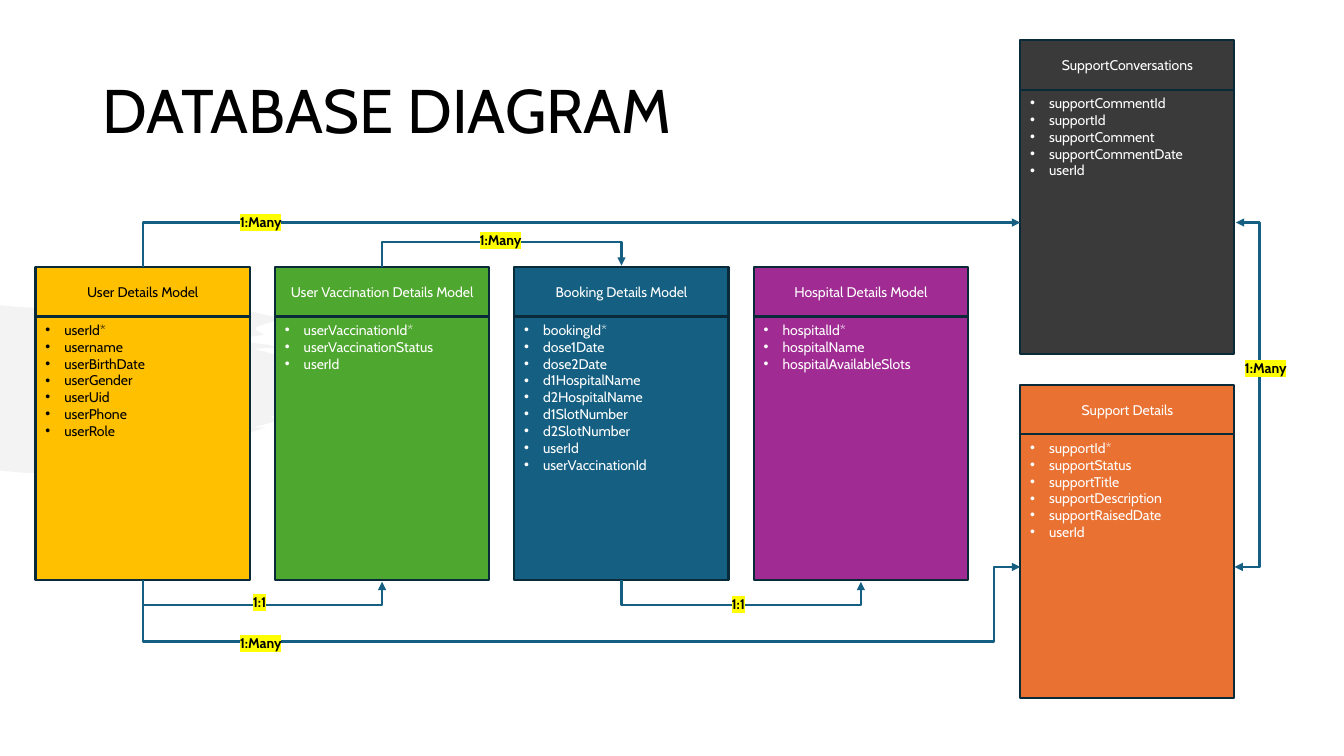
from math import cos, radians, sin

from lxml.etree import SubElement
from pptx import Presentation
from pptx.dml.color import RGBColor
from pptx.enum.shapes import MSO_CONNECTOR, MSO_SHAPE
from pptx.enum.text import MSO_ANCHOR as Anchor, MSO_AUTO_SIZE as AutoSize, PP_ALIGN as Align
from pptx.oxml.ns import qn
from pptx.util import Pt

BLACK = RGBColor(0x00, 0x00, 0x00)
WHITE = RGBColor(0xFF, 0xFF, 0xFF)
GOLD = RGBColor(0xFF, 0xC0, 0x00)
GREEN = RGBColor(0x4E, 0xA7, 0x2E)
BLUE = RGBColor(0x15, 0x60, 0x82)
PURPLE = RGBColor(0xA0, 0x2B, 0x93)
CHARCOAL = RGBColor(0x3A, 0x3A, 0x3A)
ORANGE = RGBColor(0xE9, 0x71, 0x32)
NAVY = RGBColor(0x09, 0x2A, 0x39)
YELLOW = RGBColor(0xFF, 0xFF, 0x00)
PALE_GRAY = RGBColor(0xE8, 0xE8, 0xE8)

CARD_WIDTH, HEADER_HEIGHT, FIELDS_HEIGHT = 153, 35.3, 188.5
MODEL_LEFT, MODEL_TOP, MODEL_STEP = 25.4, 190.8, 171
SUPPORT_LEFT = 728.8

MODELS = [
    ("User Details Model", GOLD, BLACK,
     ["userId*", "username", "userBirthDate", "userGender", "userUid", "userPhone", "userRole"]),
    ("User Vaccination Details Model", GREEN, WHITE,
     ["userVaccinationId*", "userVaccinationStatus", "userId"]),
    ("Booking Details Model", BLUE, WHITE,
     ["bookingId*", "dose1Date", "dose2Date", "d1HospitalName", "d2HospitalName",
      "d1SlotNumber", "d2SlotNumber", "userId", "userVaccinationId"]),
    ("Hospital Details Model", PURPLE, WHITE,
     ["hospitalId*", "hospitalName", "hospitalAvailableSlots"]),
]
SUPPORT_TABLES = [
    (28.8, "SupportConversations", CHARCOAL,
     ["supportCommentId", "supportId", "supportComment", "supportCommentDate", "userId"]),
    (275, "Support Details", ORANGE,
     ["supportId*", "supportStatus", "supportTitle", "supportDescription",
      "supportRaisedDate", "userId"]),
]
LABELS = [
    ("1:1", 173.5, 420.5), ("1:1", 515.5, 422), ("1:Many", 335.5, 162),
    ("1:Many", 164.2, 149), ("1:Many", 164.2, 450), ("1:Many", 882, 253.4),
]
# Outline of the brush stroke, in inches
BRUSH = [
    (0, 3.03), (0.25, 3.05), (0.66, 3.06), (1.02, 3.06), (1.51, 3.06), (1.94, 3.1),
    (2.48, 3.09), (2.8, 3.16), (2.71, 3.19), (2.55, 3.24), (2.53, 3.27), (2.56, 3.29),
    (2.62, 3.32), (2.38, 3.36), (2.46, 3.39), (2.56, 3.41), (2.66, 3.42), (2.75, 3.45),
    (2.51, 3.46), (2.63, 3.49), (2.73, 3.52), (2.8, 3.54), (2.88, 3.54), (2.9, 3.57),
    (2.87, 3.59), (2.84, 3.6), (2.63, 3.6), (3.3, 3.66), (3.21, 3.7), (3.18, 3.79),
    (3.07, 3.85), (3, 3.87), (2.83, 3.9), (2.8, 3.94), (2.78, 4), (2.74, 4.03),
    (3.08, 4.02), (2.69, 4.13), (2.73, 4.18), (2.52, 4.24), (2.63, 4.24), (1.97, 4.49),
    (1.02, 4.67), (0.65, 4.7), (0.23, 4.69), (0, 4.67),
]


def write(frame, text, size=10, color=WHITE, bold=False, align=Align.LEFT, anchor=Anchor.TOP,
          spacing=None, bullet=False, highlight=None, font="Cabin"):
    """Fill a text frame, one paragraph for each line of text."""
    frame.text = text
    frame.vertical_anchor = anchor
    for paragraph in frame.paragraphs:
        paragraph.alignment = align
        if spacing:
            paragraph.line_spacing = spacing
        if bullet:
            properties = paragraph._p.get_or_add_pPr()
            properties.set("marL", str(Pt(13.5)))
            properties.set("indent", str(-Pt(13.5)))
            SubElement(properties, qn("a:buFont"), typeface="Arial")
            SubElement(properties, qn("a:buChar"), char="•")
        for run in paragraph.runs:
            run.font.size = Pt(size)
            run.font.bold = bold
            run.font.name = font
            run.font.color.rgb = color
            if highlight:
                properties = run._r.get_or_add_rPr()
                marker = SubElement(properties, qn("a:highlight"))
                SubElement(marker, qn("a:srgbClr"), val=str(highlight))
                properties.find(qn("a:solidFill")).addnext(marker)


class Diagram:
    def __init__(self, slide, line_width=1.5):
        self.slide = slide
        self.line_width = Pt(line_width)

    def title(self, text, left, top, width, height):
        heading = self.slide.shapes.title
        heading.left, heading.top, heading.width, heading.height = map(
            Pt, (left, top, width, height))
        write(heading.text_frame, text, size=44, color=BLACK, anchor=Anchor.MIDDLE, spacing=0.9)
        heading.text_frame.auto_size = AutoSize.NONE

    def brush(self, outline, color, opacity):
        points = [(Pt(72 * x), Pt(72 * y)) for x, y in outline]
        builder = self.slide.shapes.build_freeform(*points[0])
        builder.add_line_segments(points[1:], close=True)
        stroke = builder.convert_to_shape()
        stroke.shadow.inherit = False
        stroke.fill.solid()
        stroke.fill.fore_color.rgb = color
        stroke.line.fill.background()
        tint = stroke.element.spPr.find(qn("a:solidFill"))[0]
        SubElement(tint, qn("a:alpha"), val=str(opacity * 1000))

    def box(self, shapes, left, top, height, fill, text, **text_format):
        panel = shapes.add_shape(
            MSO_SHAPE.RECTANGLE, Pt(left), Pt(top), Pt(CARD_WIDTH), Pt(height))
        panel.shadow.inherit = False
        panel.fill.solid()
        panel.fill.fore_color.rgb = fill
        panel.line.color.rgb = NAVY
        panel.line.width = self.line_width
        write(panel.text_frame, text, **text_format)

    def card(self, left, top, name, fill, ink, fields):
        shapes = self.slide.shapes.add_group_shape().shapes
        self.box(shapes, left, top + HEADER_HEIGHT, FIELDS_HEIGHT, fill, "\n".join(fields),
                 color=ink, bullet=True)
        self.box(shapes, left, top, HEADER_HEIGHT, fill, name,
                 color=ink, align=Align.CENTER, anchor=Anchor.MIDDLE)

    def elbow(self, start, end, bends=3, turn=0, adjust=(), both_ends=False):
        """Draw a bent arrow; its frame is turned by quarter turns about its middle."""
        mid_x, mid_y = (start[0] + end[0]) / 2, (start[1] + end[1]) / 2
        dx, dy = start[0] - mid_x, start[1] - mid_y
        c, s = round(cos(radians(turn))), round(sin(radians(turn)))
        x, y = dx * c + dy * s, dy * c - dx * s
        link = self.slide.shapes.add_connector(
            MSO_CONNECTOR.ELBOW, Pt(mid_x + x), Pt(mid_y + y), Pt(mid_x - x), Pt(mid_y - y))
        link.line.color.rgb = BLUE
        link.line.width = self.line_width
        properties = link.element.spPr
        properties.find(qn("a:xfrm")).set("rot", str(turn * 60000))
        geometry = properties.find(qn("a:prstGeom"))
        geometry.set("prst", f"bentConnector{bends}")
        for number, share in enumerate(adjust, 1):
            SubElement(geometry.find(qn("a:avLst")), qn("a:gd"),
                       name=f"adj{number}", fmla=f"val {round(share * 100000)}")
        stroke = properties.find(qn("a:ln"))
        if both_ends:
            SubElement(stroke, qn("a:headEnd"), type="triangle")
        SubElement(stroke, qn("a:tailEnd"), type="triangle")
        SubElement(properties, qn("a:effectLst"))

    def label(self, text, left, top):
        width = 28 if text == "1:1" else 47.5
        frame = self.slide.shapes.add_textbox(
            Pt(left), Pt(top), Pt(width), Pt(19.4)).text_frame
        frame.word_wrap = False
        frame.auto_size = AutoSize.SHAPE_TO_FIT_TEXT
        write(frame, text, color=BLACK, bold=True, highlight=YELLOW)


def main():
    deck = Presentation()
    deck.slide_width, deck.slide_height = Pt(960), Pt(540)
    diagram = Diagram(deck.slides.add_slide(deck.slide_layouts[5]))

    diagram.brush(BRUSH, PALE_GRAY, opacity=50)
    diagram.title("DATABASE DIAGRAM", 66, 28.8, 828, 104.4)
    for column, model in enumerate(MODELS):
        diagram.card(MODEL_LEFT + column * MODEL_STEP, MODEL_TOP, *model)
    for top, name, fill, fields in SUPPORT_TABLES:
        diagram.card(SUPPORT_LEFT, top, name, fill, WHITE, fields)

    user, vaccination, booking, hospital = (
        MODEL_LEFT + CARD_WIDTH / 2 + column * MODEL_STEP for column in range(len(MODELS)))
    bottom = MODEL_TOP + HEADER_HEIGHT + FIELDS_HEIGHT
    support_right = SUPPORT_LEFT + CARD_WIDTH
    # A frame one point deep makes the adjustment equal the lead in points
    lead = (18,)
    diagram.elbow((user, bottom), (vaccination, bottom + 1), turn=270, adjust=lead)
    diagram.elbow((vaccination, MODEL_TOP), (booking, MODEL_TOP - 1), turn=90, adjust=lead)
    diagram.elbow((booking, bottom), (hospital, bottom + 1), turn=270, adjust=lead)
    diagram.elbow((user, MODEL_TOP), (SUPPORT_LEFT, 159), bends=2, turn=90)
    diagram.elbow((user, bottom), (SUPPORT_LEFT, 405), bends=4, turn=90,
                  adjust=(-4.54, 0.97))
    diagram.elbow((support_right, 405), (support_right + 1, 159), adjust=lead, both_ends=True)
    for label in LABELS:
        diagram.label(*label)

    deck.save("out.pptx")


if __name__ == "__main__":
    main()
